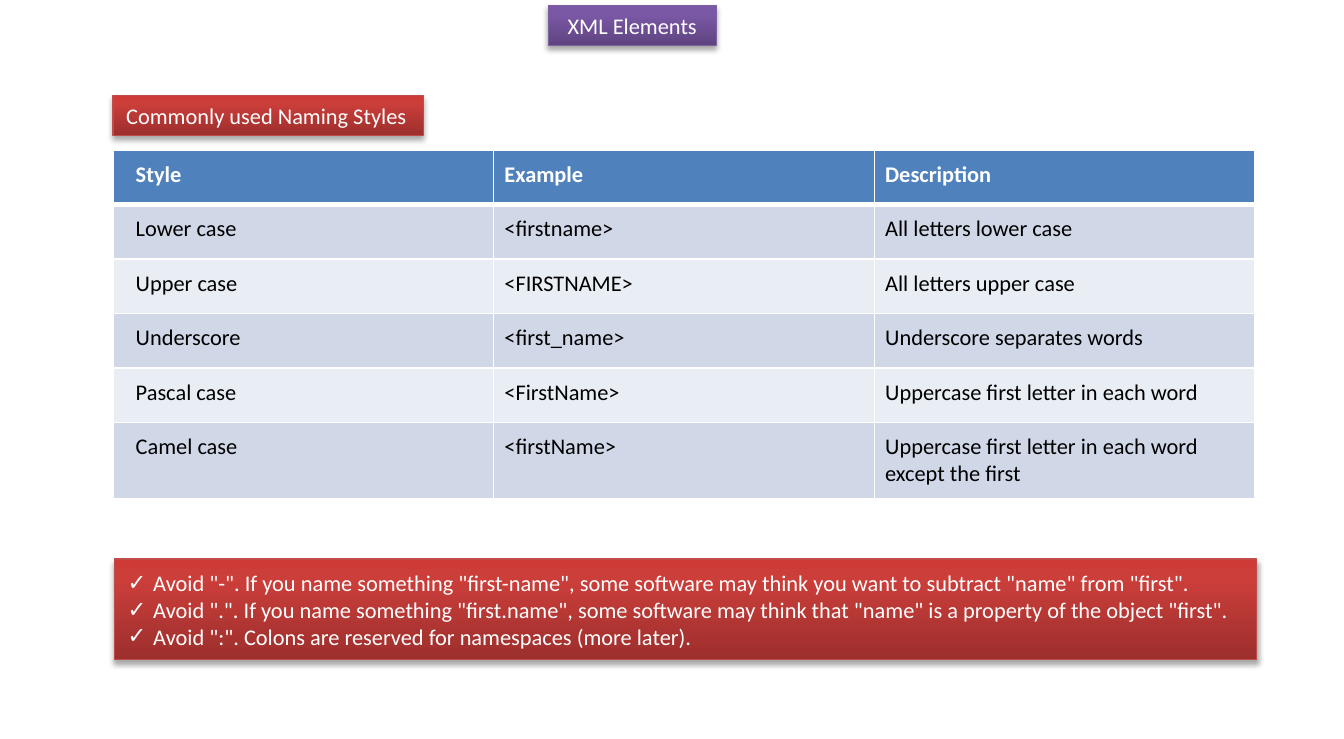
from dataclasses import dataclass

from lxml import etree
from pptx import Presentation
from pptx.dml.color import RGBColor
from pptx.enum.shapes import MSO_SHAPE
from pptx.enum.text import MSO_ANCHOR, MSO_AUTO_SIZE, PP_ALIGN
from pptx.oxml import parse_xml
from pptx.oxml.ns import nsdecls, qn
from pptx.util import Inches, Pt

RECTANGLE = MSO_SHAPE.RECTANGLE
MIDDLE = MSO_ANCHOR.MIDDLE
NO_AUTOFIT = MSO_AUTO_SIZE.NONE
LEFT, CENTER = PP_ALIGN.LEFT, PP_ALIGN.CENTER


@dataclass(frozen=True)
class Panel:
    dark: str
    middle: str
    light: str
    line: str


@dataclass(frozen=True)
class Theme:
    font: str = "Calibri"
    size: int = 12
    white: str = "FFFFFF"
    black: str = "000000"
    header: str = "4F81BD"
    bands: tuple = ("D0D8E8", "E9EDF4")
    purple: Panel = Panel("5F4480", "7B58A6", "7C57A8", "7D60A0")
    red: Panel = Panel("9C2F2D", "CB3E3A", "CE3B37", "BF4C48")


THEME = Theme()

NAMING_STYLES = [
    ("Style", "Example", "Description"),
    ("Lower case", "<firstname>", "All letters lower case"),
    ("Upper case", "<FIRSTNAME>", "All letters upper case"),
    ("Underscore", "<first_name>", "Underscore separates words"),
    ("Pascal case", "<FirstName>", "Uppercase first letter in each word"),
    ("Camel case", "<firstName>", "Uppercase first letter in each word except the first"),
]

ADVICE = [
    'Avoid "-". If you name something "first-name", some software may think you want to subtract "name" from "first".',
    'Avoid ".". If you name something "first.name", some software may think that "name" is a property of the object "first".',
    'Avoid ":". Colons are reserved for namespaces (more later).',
]


def place(shape, left, top, width, height):
    shape.left, shape.top = Inches(left), Inches(top)
    shape.width, shape.height = Inches(width), Inches(height)


def add_run(paragraph, text, color=THEME.white, bold=False):
    run = paragraph.add_run()
    run.text = text
    run.font.name = THEME.font
    run.font.size = Pt(THEME.size)
    run.font.bold = bold
    run.font.color.rgb = RGBColor.from_string(color)


def style_panel(shape, panel):
    shape.fill.gradient()
    shape.fill.gradient_angle = 90
    properties = shape._element.spPr
    stops = properties.find(qn("a:gradFill")).find(qn("a:gsLst"))
    for stop in list(stops):
        stops.remove(stop)
    for percent, color in ((0, panel.dark), (80, panel.middle), (100, panel.light)):
        stop = etree.SubElement(stops, qn("a:gs"), pos=str(percent * 1000))
        etree.SubElement(stop, qn("a:srgbClr"), val=color)
    shape.line.color.rgb = RGBColor.from_string(panel.line)
    shape.line.width = Pt(0.75)
    properties.append(parse_xml(
        f'<a:effectLst {nsdecls("a")}><a:outerShdw blurRad="{Pt(3.1)}" '
        f'dist="{Pt(1.8)}" dir="5400000" rotWithShape="0">'
        f'<a:srgbClr val="{THEME.black}"><a:alpha val="35000"/></a:srgbClr>'
        '</a:outerShdw></a:effectLst>'))


def prepare_text(shape, wrap=True):
    frame = shape.text_frame
    frame.auto_size = NO_AUTOFIT
    frame.word_wrap = wrap
    frame.vertical_anchor = MIDDLE
    return frame


def fill_title(slide):
    title = slide.shapes.title
    place(title, 4.08, 0.04, 1.25, 0.3)
    style_panel(title, THEME.purple)
    paragraph = prepare_text(title).paragraphs[0]
    paragraph.alignment = CENTER
    add_run(paragraph, "XML\u00a0Elements".replace("\u00a0", " "))


def add_label(slide, text, left, top, width, height):
    label = slide.shapes.add_shape(
        RECTANGLE, Inches(left), Inches(top), Inches(width), Inches(height))
    style_panel(label, THEME.red)
    paragraph = prepare_text(label, wrap=False).paragraphs[0]
    paragraph.alignment = LEFT
    add_run(paragraph, text)


def set_borders(cell, widths):
    properties = cell._tc.get_or_add_tcPr()
    for side, width in zip("LRTB", widths):
        line = etree.SubElement(properties, qn(f"a:ln{side}"), w=str(Pt(width)))
        fill = etree.SubElement(line, qn("a:solidFill"))
        etree.SubElement(fill, qn("a:srgbClr"), val=THEME.white)


def add_naming_table(slide):
    rows, columns = len(NAMING_STYLES), len(NAMING_STYLES[0])
    table = slide.shapes.add_table(
        rows, columns, Inches(0.84), Inches(1.12), Inches(8.5), Inches(2.43)).table
    for row, texts in enumerate(NAMING_STYLES):
        header = row == 0
        fill = THEME.header if header else THEME.bands[(row - 1) % 2]
        borders = (1, 1, 3 if row == 1 else 1, 3 if header else 1)
        for column, text in enumerate(texts):
            cell = table.cell(row, column)
            set_borders(cell, borders)
            cell.fill.solid()
            cell.fill.fore_color.rgb = RGBColor.from_string(fill)
            cell.margin_left = Inches(0.17 if column == 0 else 0.08)
            cell.margin_top = cell.margin_right = cell.margin_bottom = Inches(0.08)
            add_run(cell.text_frame.paragraphs[0], text,
                    THEME.white if header else THEME.black, header)


def fill_advice(slide):
    body = slide.placeholders[1]
    place(body, 0.85, 4.16, 8.5, 0.75)
    style_panel(body, THEME.red)
    frame = prepare_text(body)
    for index, text in enumerate(ADVICE):
        paragraph = frame.add_paragraph() if index else frame.paragraphs[0]
        properties = paragraph._p.get_or_add_pPr()
        properties.set("marL", str(Inches(0.19)))
        properties.set("indent", str(-Inches(0.19)))
        etree.SubElement(properties, qn("a:buChar"), char="✓")
        paragraph.space_before = Pt(0)
        add_run(paragraph, text)


def main():
    presentation = Presentation()
    presentation.slide_width = Inches(10)
    presentation.slide_height = Inches(5.5)
    slide = presentation.slides.add_slide(presentation.slide_layouts[1])
    fill_title(slide)
    add_naming_table(slide)
    add_label(slide, "Commonly used Naming Styles", 0.84, 0.71, 2.31, 0.3)
    fill_advice(slide)
    presentation.save("out.pptx")


if __name__ == "__main__":
    main()
